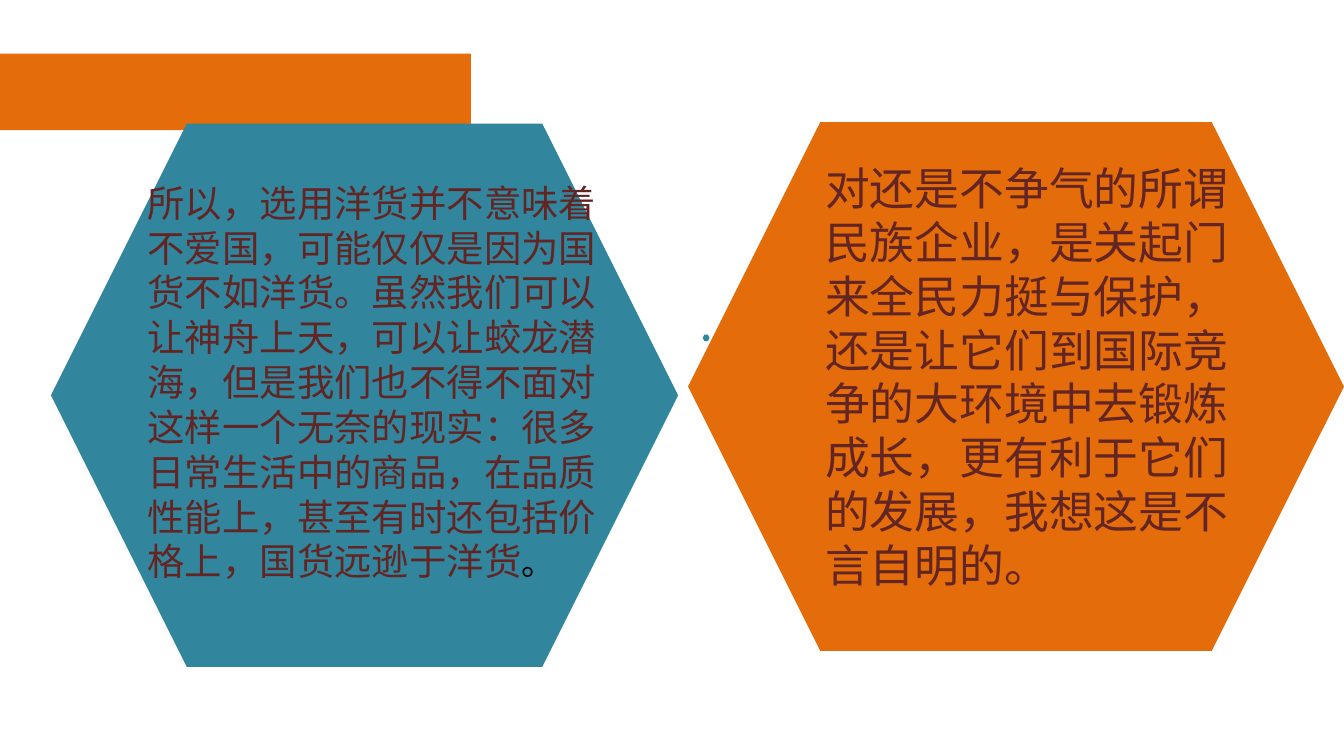
from pptx import Presentation
from pptx.dml.color import RGBColor
from pptx.enum.shapes import MSO_SHAPE
from pptx.enum.text import MSO_AUTO_SIZE
from pptx.util import Pt

RECTANGLE = MSO_SHAPE.RECTANGLE
HEXAGON = MSO_SHAPE.HEXAGON
GROW = MSO_AUTO_SIZE.SHAPE_TO_FIT_TEXT

ORANGE = "E46C0A"
TEAL = "31859C"
MAROON = "632523"
BLACK = "000000"

IMPORTED_GOODS = (
    "所以，选用洋货并不意味着不爱国，可能仅仅是因为国货不如洋货。"
    "虽然我们可以让神舟上天，可以让蛟龙潜海，"
    "但是我们也不得不面对这样一个无奈的现实："
    "很多日常生活中的商品，在品质性能上，甚至有时还包括价格上，国货远逊于洋货"
)
NATIONAL_INDUSTRY = (
    "对还是不争气的所谓民族企业，是关起门来全民力挺与保护，"
    "还是让它们到国际竞争的大环境中去锻炼成长，"
    "更有利于它们的发展，我想这是不言自明的。"
)


def color(value):
    """Turn a hex string into a colour."""
    return RGBColor.from_string(value)


def add_text(paragraph, text, *, size, fill=MAROON, font="Calibri"):
    """Append a formatted run to a paragraph."""
    run = paragraph.add_run()
    run.text = text
    run.font.name = font
    run.font.size = Pt(size)
    run.font.color.rgb = color(fill)


class SlideBuilder:
    """Draws the elements of one slide in a shared style."""

    def __init__(self, slide):
        """Keep the slide to draw on."""
        self.slide = slide

    def shape(self, kind, left, top, width, height, fill):
        """Add a flat filled shape without outline."""
        shape = self.slide.shapes.add_shape(kind, Pt(left), Pt(top), Pt(width), Pt(height))
        shape.shadow.inherit = False
        shape.fill.solid()
        shape.fill.fore_color.rgb = color(fill)
        shape.line.fill.background()

    def text_box(self, left, top, width, height):
        """Add a wrapping text box and return its first paragraph."""
        box = self.slide.shapes.add_textbox(Pt(left), Pt(top), Pt(width), Pt(height))
        box.text_frame.word_wrap = True
        box.text_frame.auto_size = GROW
        return box.text_frame.paragraphs[0]


def main():
    """Build and save the presentation."""
    presentation = Presentation()
    presentation.slide_width = Pt(720)
    presentation.slide_height = Pt(405)
    slide = presentation.slides.add_slide(presentation.slide_layouts[6])
    builder = SlideBuilder(slide)

    builder.shape(RECTANGLE, 0, 28.8, 252.3, 41, ORANGE)
    builder.shape(HEXAGON, 27.3, 66.3, 336, 291, TEAL)
    builder.shape(HEXAGON, 368.6, 65.4, 351.4, 283.4, ORANGE)
    builder.shape(HEXAGON, 376.5, 179.2, 3.6, 3.6, TEAL)

    paragraph = builder.text_box(72, 92.9, 270, 225.4)
    add_text(paragraph, IMPORTED_GOODS, size=20)
    add_text(paragraph, "。", size=18, fill=BLACK)

    paragraph = builder.text_box(434.9, 82.8, 236.9, 239.8)
    add_text(paragraph, NATIONAL_INDUSTRY, size=24)

    presentation.save("out.pptx")


if __name__ == "__main__":
    main()
